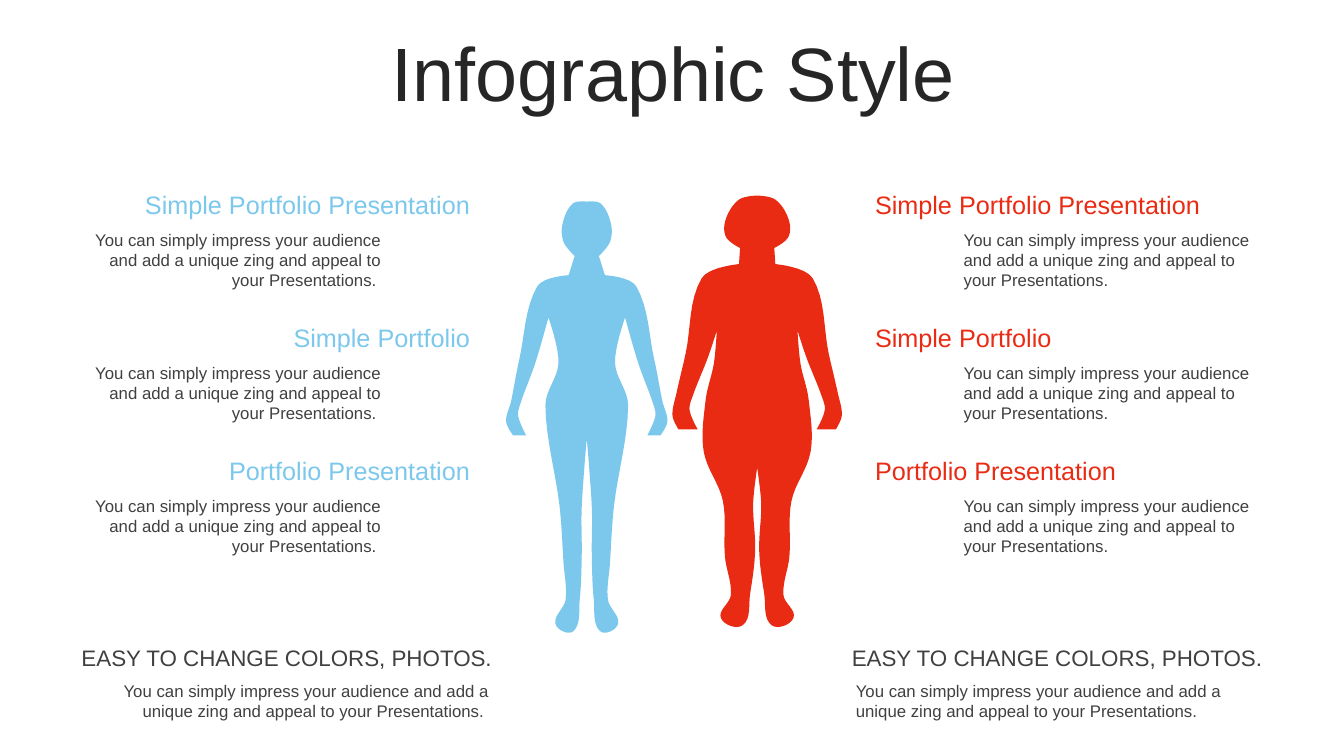
"""Build the Infographic Style slide with two mirrored body silhouettes."""
import math
from dataclasses import dataclass

import pptx
import pptx.dml.color
import pptx.enum.text
import pptx.util
from pptx.util import Inches

ALIGN = pptx.enum.text.PP_ALIGN
BLUE, RED, GREY, DARK = "7CC8EC", "EA2B13", "404040", "262626"
BLURB = "You can simply impress your audience and add a unique zing and appeal to your Presentations."
HEADINGS = ["Simple Portfolio Presentation", "Simple Portfolio", "Portfolio Presentation"]
CAPTION = "EASY TO CHANGE COLORS, PHOTOS."
FIRST_ROW, ROW_STEP, BLURB_DROP = 1.89, 1.32, 0.34
CURVE_STEPS = 8
CROWN, JAW, NECK, KNUCKLES, FINGERTIP, ARMPIT = 0, 4, 5, 10, 11, 15
SHARP = {CROWN, JAW, NECK, KNUCKLES, FINGERTIP, ARMPIT}

Point = tuple[float, float]


@dataclass(frozen=True)
class Side:
    """A column of text beside one figure."""
    color: str
    align: ALIGN
    blurb: str
    heading_left: float
    blurb_left: float
    caption_left: float
    footer_left: float


@dataclass(frozen=True)
class Figure:
    """A silhouette given by its left half, from crown to crotch."""
    color: str
    left_half: list[Point]


SIDES = [
    Side(RED, ALIGN.LEFT, BLURB, 8.58, 9.46, 8.35, 8.39),
    Side(BLUE, ALIGN.RIGHT, BLURB + " ", 0.68, 0.68, 0.68, 0.71),
]

FIGURES = [
    Figure(RED, [
        (7.51, 1.94), (7.33, 1.98), (7.2, 2.17), (7.2, 2.35), (7.34, 2.46),
        (7.33, 2.62), (6.96, 2.76), (6.8, 3.51), (6.71, 3.9), (6.67, 4.12),
        (6.73, 4.26), (6.92, 4.26), (6.84, 4.07), (6.87, 3.93), (7.02, 3.55),
        (7.11, 3.28), (7.08, 3.61), (7, 3.96), (6.98, 4.48), (7.17, 4.97),
        (7.19, 5.52), (7.25, 5.9), (7.15, 6.13), (7.37, 6.2), (7.44, 5.89),
        (7.49, 5.46), (7.47, 5), (7.51, 4.64),
    ]),
    Figure(BLUE, [
        (5.82, 2), (5.68, 2.02), (5.58, 2.22), (5.59, 2.4), (5.7, 2.54),
        (5.64, 2.73), (5.33, 2.84), (5.15, 3.57), (5.07, 3.98), (5.02, 4.18),
        (5.09, 4.32), (5.22, 4.32), (5.14, 4.13), (5.16, 4.01), (5.31, 3.6),
        (5.44, 3.15), (5.54, 3.6), (5.41, 4.02), (5.55, 5.02), (5.59, 5.59),
        (5.61, 5.95), (5.51, 6.19), (5.69, 6.26), (5.75, 5.95), (5.77, 5.52),
        (5.77, 5.03), (5.82, 4.35),
    ]),
]


def rgb(color: str) -> pptx.dml.color.RGBColor:
    """Turn a hex string into a colour."""
    return pptx.dml.color.RGBColor.from_string(color)


def add_text(slide, text: str, left: float, top: float, width: float, height: float,
             size: float, color: str, align: ALIGN, spacing: float | None = None):
    """Add one wrapped paragraph of text and return its frame."""
    frame = slide.shapes.add_textbox(
        Inches(left), Inches(top), Inches(width), Inches(height)).text_frame
    frame.word_wrap = True
    paragraph = frame.paragraphs[0]
    paragraph.alignment = align
    paragraph.line_spacing = spacing
    run = paragraph.add_run()
    run.text = text
    run.font.name = "Arial"
    run.font.size = pptx.util.Pt(size)
    run.font.color.rgb = rgb(color)
    return frame


def add_side(slide, side: Side) -> None:
    """Add the headings, blurbs and footer of one side."""
    for row, heading in enumerate(HEADINGS):
        top = FIRST_ROW + row * ROW_STEP
        add_text(slide, heading, side.heading_left, top, 4.08, 0.34, 18, side.color, side.align, 0.8)
        add_text(slide, side.blurb, side.blurb_left, top + BLURB_DROP, 3.2, 0.71, 12, GREY, side.align)
    add_text(slide, side.blurb, side.footer_left, 6.7, 4.24, 0.5, 12, GREY, side.align)
    add_text(slide, CAPTION, side.caption_left, 6.34, 4.3, 0.37, 16, GREY, side.align)


def direction(knots: list[Point], index: int) -> Point:
    """Return the unit tangent at a knot, or zero where the outline turns sharply."""
    if index in SHARP or index == len(knots) - 1:
        return 0.0, 0.0
    (x0, y0), (x1, y1) = knots[index - 1], knots[index + 1]
    length = math.hypot(x1 - x0, y1 - y0)
    return (x1 - x0) / length, (y1 - y0) / length


def smooth(knots: list[Point]) -> list[Point]:
    """Run a smooth curve through the knots."""
    points = [knots[0]]
    for index, (start, end) in enumerate(zip(knots, knots[1:])):
        reach = math.dist(start, end)
        leaving, arriving = direction(knots, index), direction(knots, index + 1)
        for step in range(1, CURVE_STEPS + 1):
            t = step / CURVE_STEPS
            ease = t * t * (3 - 2 * t)
            out, back = reach * t * (1 - t) ** 2, reach * t * t * (t - 1)
            x, y = (a + (b - a) * ease + out * m + back * n
                    for a, b, m, n in zip(start, end, leaving, arriving))
            points.append((x, y))
    return points


def add_figure(slide, figure: Figure) -> None:
    """Draw a silhouette from its left half and the mirrored right half."""
    axis = figure.left_half[CROWN][0]
    left = smooth(figure.left_half)
    right = [(2 * axis - x, y) for x, y in reversed(left)]
    outline = [(Inches(x), Inches(y)) for x, y in left + right]
    builder = slide.shapes.build_freeform(*outline[0])
    builder.add_line_segments(outline[1:], close=True)
    body = builder.convert_to_shape()
    body.shadow.inherit = False
    body.fill.solid()
    body.fill.fore_color.rgb = rgb(figure.color)
    body.line.fill.background()


def main() -> None:
    """Build and save the slide."""
    deck = pptx.Presentation()
    deck.slide_width, deck.slide_height = Inches(13.33), Inches(7.5)
    slide = deck.slides.add_slide(deck.slide_layouts[6])
    title = add_text(slide, "Infographic Style", 0.35, 0.37, 12.66, 0.79, 54, DARK, ALIGN.CENTER, 0.9)
    title.vertical_anchor = pptx.enum.text.MSO_ANCHOR.MIDDLE
    for side in SIDES:
        add_side(slide, side)
    for figure in FIGURES:
        add_figure(slide, figure)
    deck.save("out.pptx")


if __name__ == "__main__":
    main()
